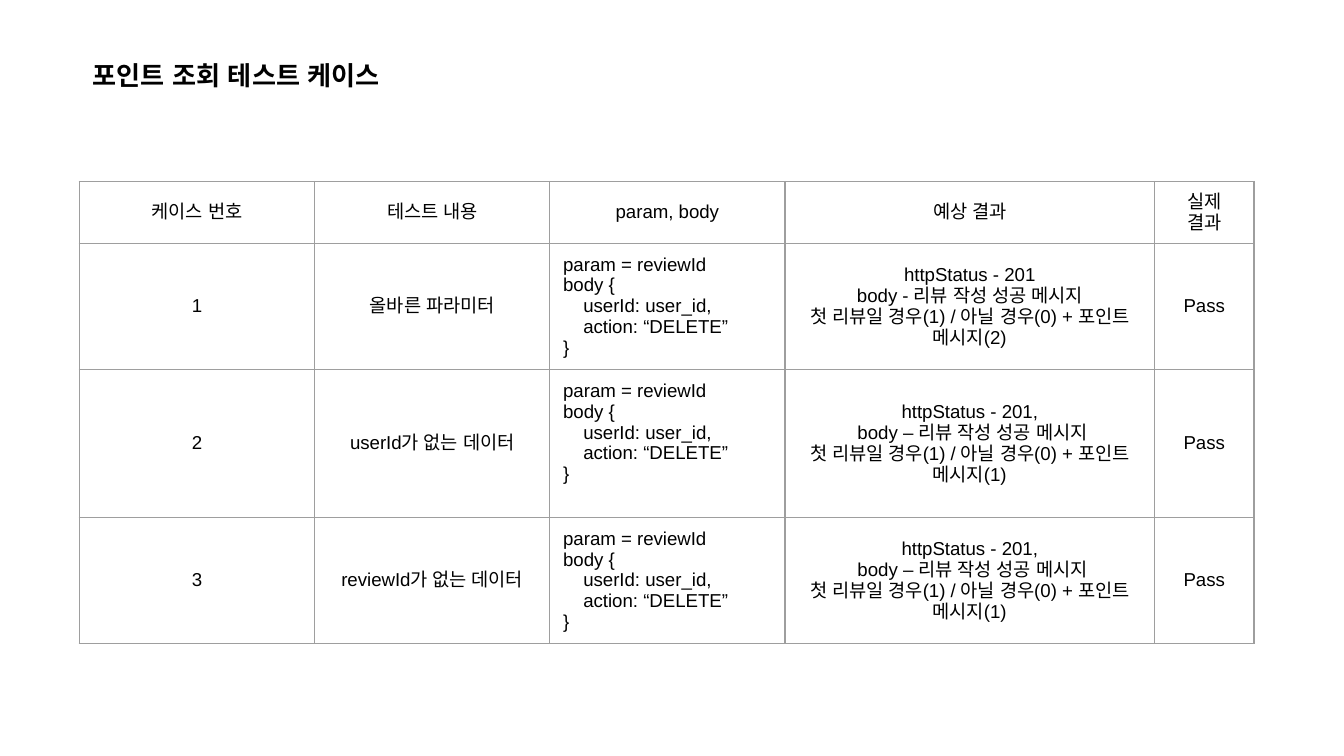
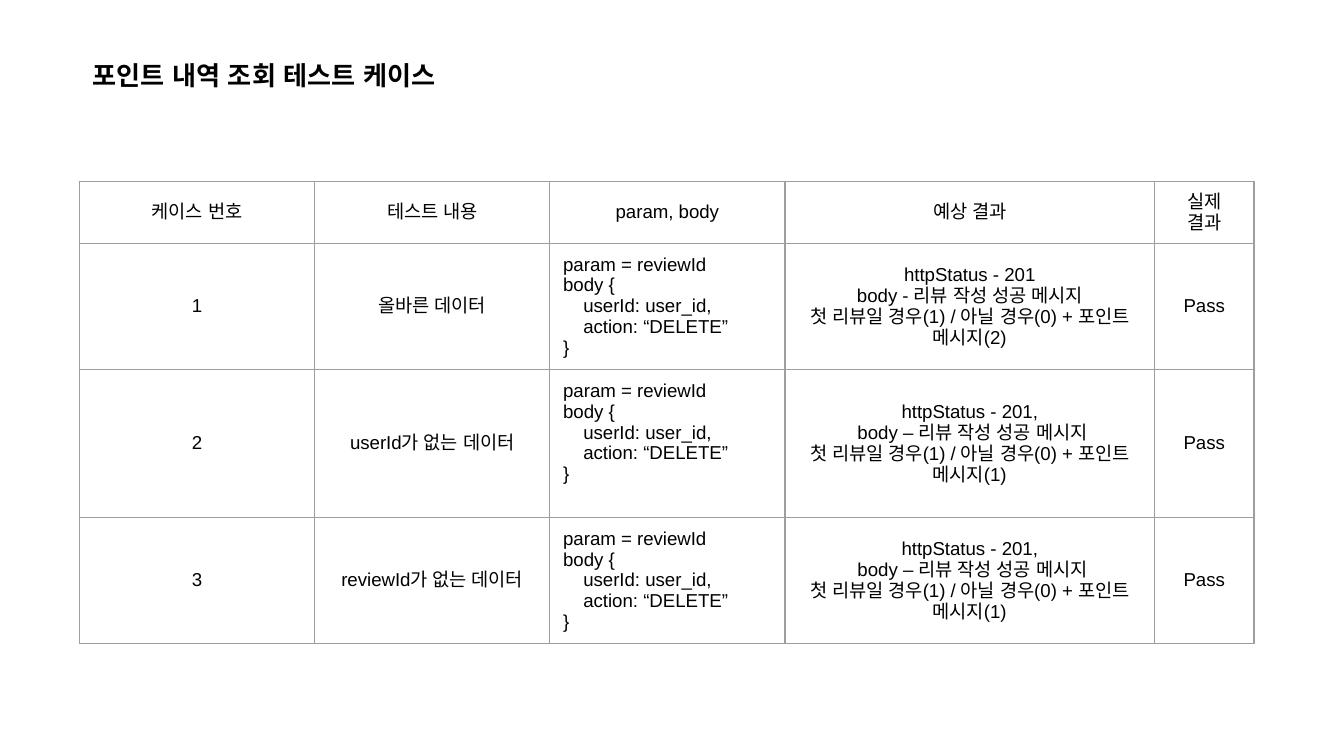
from lxml import etree
from pptx import Presentation
from pptx.dml.color import RGBColor
from pptx.enum.text import MSO_ANCHOR as Anchor, MSO_AUTO_SIZE as AutoSize, PP_ALIGN as Align
from pptx.oxml.ns import qn
from pptx.util import Inches, Pt

COLORS = {"text": "000000", "border": "9E9E9E"}
FONT = "Arial"
SLIDE_WIDTH = 10
COLUMN_WIDTHS = [1.75, 1.75, 1.75, 2.75, 0.74]
ROW_HEIGHTS = [0.46, 0.94, 1.1, 0.94]
CODE_COLUMN = 2
CODE_INDENT = 0.15
TALL_ROW = 2

# Wording shared by both slides
HEADERS = ["케이스 번호", "테스트 내용", "param, body", "예상 결과", "실제 결과"]
REQUEST = [(0, "param = reviewId"), (0, "body {"), (1, "userId: user_id,"),
           (1, "action: “DELETE”"), (0, "}")]
MISSING_CASES = ["userId가 없는 데이터", "reviewId가 없는 데이터"]
SLIDES = [
    ("포인트 조회 테스트 케이스", "올바른 파라미터"),
    ("포인트 내역 조회 테스트 케이스", "올바른 데이터"),
]


def expected_result(status, body, message_number):
    return [status, f"{body} 리뷰 작성 성공 메시지",
            f"첫 리뷰일 경우(1) / 아닐 경우(0) + 포인트 메시지({message_number})"]


def case_rows(valid_case):
    success = expected_result("httpStatus - 201", "body -", 2)
    missing = expected_result("httpStatus - 201,", " body –", 1)
    cases = [(valid_case, success)] + [(name, missing) for name in MISSING_CASES]
    return [[[str(number)], [name], REQUEST, result, ["Pass"]]
            for number, (name, result) in enumerate(cases, start=1)]


def format_paragraph(paragraph, size, bold=False, align=None):
    paragraph.alignment = align
    for run in paragraph.runs:
        run.font.size = Pt(size)
        run.font.bold = bold
        run.font.color.rgb = RGBColor.from_string(COLORS["text"])
        run.font.name = FONT
        # Hangul and the spaces between its words use the same font
        for script in ("a:ea", "a:cs"):
            etree.SubElement(run.font._element, qn(script), typeface=FONT)


def add_title(slide, title):
    box = slide.shapes.add_textbox(Inches(0.59), Inches(0.34), Inches(3.9), Inches(0.44))
    frame = box.text_frame
    frame.word_wrap = True
    frame.auto_size = AutoSize.SHAPE_TO_FIT_TEXT
    frame.margin_left = frame.margin_right = Inches(0.1)
    frame.margin_top = frame.margin_bottom = Inches(0.1)
    frame.text = title
    format_paragraph(frame.paragraphs[0], 14, bold=True)


def set_borders(cell):
    properties = cell._tc.get_or_add_tcPr()
    for position, side in enumerate(("a:lnL", "a:lnR", "a:lnT", "a:lnB")):
        line = etree.Element(qn(side), w=str(Pt(0.75)))
        fill = etree.SubElement(line, qn("a:solidFill"))
        etree.SubElement(fill, qn("a:srgbClr"), val=COLORS["border"])
        properties.insert(position, line)


def fill_cell(cell, lines):
    """Write plain lines centred, or (level, line) pairs as indented code."""
    cell.fill.background()
    cell.vertical_anchor = Anchor.MIDDLE
    set_borders(cell)
    is_code = isinstance(lines[0], tuple)
    entries = lines if is_code else [(0, line) for line in lines]
    cell.text_frame.text = "\n".join(line for level, line in entries)
    for paragraph, (level, line) in zip(cell.text_frame.paragraphs, entries):
        format_paragraph(paragraph, 10, align=Align.JUSTIFY if is_code else Align.CENTER)
        if level:
            paragraph._p.get_or_add_pPr().set("marL", str(Inches(CODE_INDENT * level)))


def add_case_table(slide, rows):
    frame = slide.shapes.add_table(len(rows), len(HEADERS), Inches(0.59), Inches(1.35),
                                   Inches(sum(COLUMN_WIDTHS)), Inches(sum(ROW_HEIGHTS)))
    table = frame.table
    table.first_row = table.horz_banding = False
    for column, width in zip(table.columns, COLUMN_WIDTHS):
        column.width = Inches(width)
    for table_row, height, texts in zip(table.rows, ROW_HEIGHTS, rows):
        table_row.height = Inches(height)
        for cell, lines in zip(table_row.cells, texts):
            fill_cell(cell, lines)
    # The code in the tall row sits above the middle
    table.cell(TALL_ROW, CODE_COLUMN).margin_bottom = Inches(0.21)


def main():
    presentation = Presentation()
    presentation.slide_width = Inches(SLIDE_WIDTH)
    presentation.slide_height = Inches(SLIDE_WIDTH * 9 / 16)
    header_row = [[header] for header in HEADERS]
    for title, valid_case in SLIDES:
        slide = presentation.slides.add_slide(presentation.slide_layouts[6])
        add_title(slide, title)
        add_case_table(slide, [header_row] + case_rows(valid_case))
    presentation.save("out.pptx")


if __name__ == "__main__":
    main()
